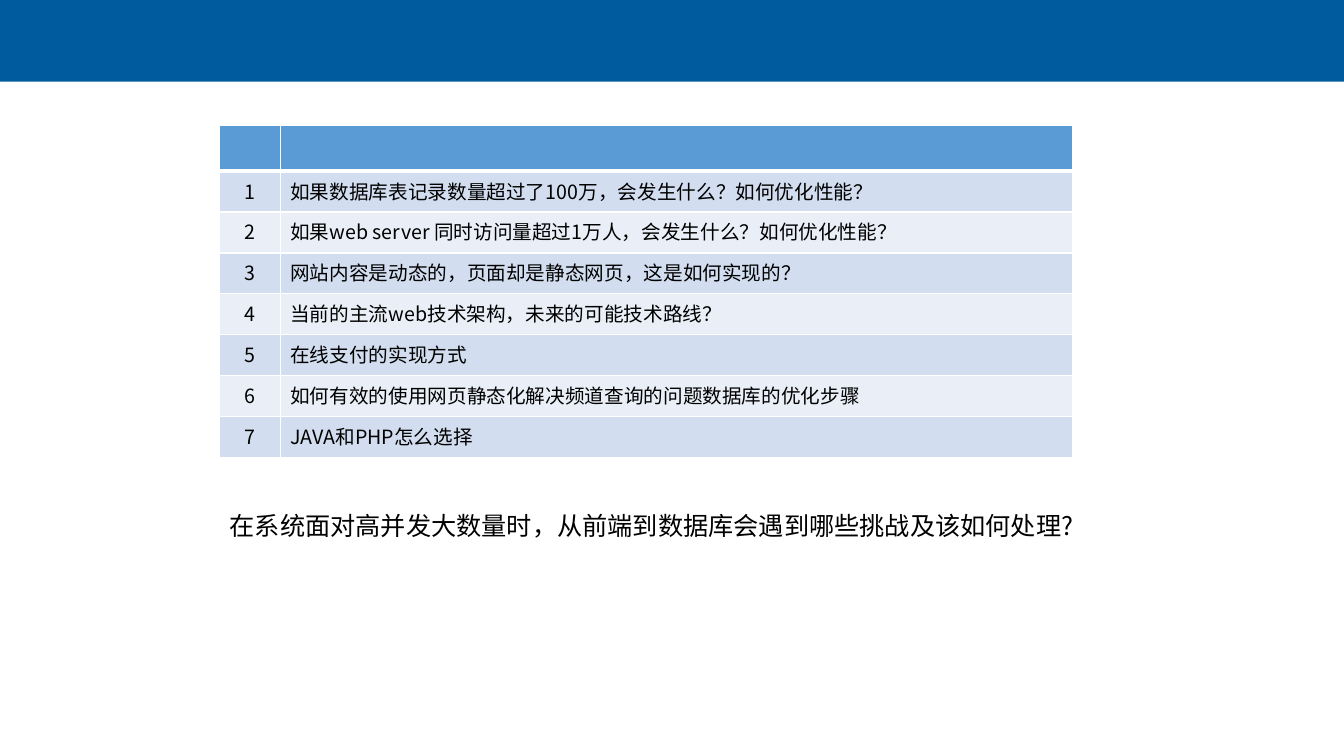
"""Build a slide with a table of web architecture questions and a closing question."""
from dataclasses import dataclass

from lxml.etree import SubElement
from pptx import Presentation
from pptx.dml.color import RGBColor
from pptx.enum.shapes import MSO_SHAPE as Preset
from pptx.enum.text import MSO_AUTO_SIZE as AutoSize, PP_ALIGN as Align
from pptx.oxml import parse_xml
from pptx.oxml.ns import nsdecls, qn
from pptx.slide import Slide
from pptx.table import _Cell as Cell
from pptx.text.text import _Paragraph as Paragraph
from pptx.util import Pt

FONT = "Noto Sans CJK SC"
BLACK, WHITE = "000000", "FFFFFF"
BANNER_BLUE, HEADER_BLUE = "005A9E", "5B9BD5"
BANDS = ("D2DEEF", "EAEFF7")
PAGE_WIDTH, PAGE_HEIGHT = 960, 540
LEFT = 157
COLUMN_WIDTHS = (43.2, 565.7)
HEADER_HEIGHT, ROW_HEIGHT = 33, 29.2
THIN, THICK = 1, 3


@dataclass(frozen=True)
class Question:
    number: int
    text: str


TOPICS = (
    "如果数据库表记录数量超过了100万，会发生什么？如何优化性能？",
    "如果web server 同时访问量超过1万人，会发生什么？如何优化性能？",
    "网站内容是动态的，页面却是静态网页，这是如何实现的？",
    "当前的主流web技术架构，未来的可能技术路线？",
    "在线支付的实现方式",
    "如何有效的使用网页静态化解决频道查询的问题数据库的优化步骤",
    "JAVA和PHP怎么选择",
)
QUESTIONS = [Question(number, text) for number, text in enumerate(TOPICS, 1)]
CLOSING = "在系统面对高并发大数量时，从前端到数据库会遇到哪些挑战及该如何处理?"


def color(code: str) -> RGBColor:
    return RGBColor.from_string(code)


def add_span(para: Paragraph, text: str, size: float) -> None:
    span = para.add_run()
    span.text = text
    span.font.size = Pt(size)
    span.font.name = FONT
    span.font.color.rgb = color(BLACK)
    SubElement(span.font._element, qn("a:ea"), typeface=FONT)


def style_cell(cell: Cell, fill: str, top: int = THIN, bottom: int = THIN) -> None:
    cell.fill.solid()
    cell.fill.fore_color.rgb = color(fill)
    sides = {"lnL": THIN, "lnR": THIN, "lnT": top, "lnB": bottom}
    for index, (side, width) in enumerate(sides.items()):
        border = parse_xml(
            f'<a:{side} {nsdecls("a")} w="{Pt(width)}"><a:solidFill>'
            f'<a:srgbClr val="{WHITE}"/></a:solidFill></a:{side}>'
        )
        cell._tc.tcPr.insert(index, border)


def add_banner(page: Slide) -> None:
    banner = page.shapes.add_shape(Preset.RECTANGLE, 0, 0, Pt(PAGE_WIDTH), Pt(58.3))
    banner.shadow.inherit = False
    banner.fill.solid()
    banner.fill.fore_color.rgb = color(BANNER_BLUE)
    banner.line.fill.background()


def add_questions(page: Slide, questions: list[Question]) -> None:
    height = HEADER_HEIGHT + ROW_HEIGHT * len(questions)
    table = page.shapes.add_table(
        len(questions) + 1, len(COLUMN_WIDTHS),
        Pt(LEFT), Pt(89.3), Pt(sum(COLUMN_WIDTHS)), Pt(height),
    ).table
    for column, width in zip(table.columns, COLUMN_WIDTHS):
        column.width = Pt(width)
    table.rows[0].height = Pt(HEADER_HEIGHT)
    for cell in table.rows[0].cells:
        style_cell(cell, HEADER_BLUE, bottom=THICK)
    for row, question in enumerate(questions, 1):
        table.rows[row].height = Pt(ROW_HEIGHT)
        number_cell, text_cell = table.rows[row].cells
        for cell in (number_cell, text_cell):
            style_cell(cell, BANDS[(row - 1) % 2], top=THICK if row == 1 else THIN)
        number_para = number_cell.text_frame.paragraphs[0]
        number_para.alignment = Align.CENTER
        add_span(number_para, str(question.number), 14)
        add_span(text_cell.text_frame.paragraphs[0], question.text, 14)


def add_closing(page: Slide, text: str) -> None:
    box = page.shapes.add_textbox(Pt(LEFT), Pt(360.7), Pt(621.4), Pt(28.8))
    box.text_frame.word_wrap = False
    box.text_frame.auto_size = AutoSize.SHAPE_TO_FIT_TEXT
    add_span(box.text_frame.paragraphs[0], text, 18)


def main() -> None:
    deck = Presentation()
    deck.slide_width, deck.slide_height = Pt(PAGE_WIDTH), Pt(PAGE_HEIGHT)
    page = deck.slides.add_slide(deck.slide_layouts.get_by_name("Blank"))
    add_banner(page)
    add_questions(page, QUESTIONS)
    add_closing(page, CLOSING)
    deck.save("out.pptx")


if __name__ == "__main__":
    main()
